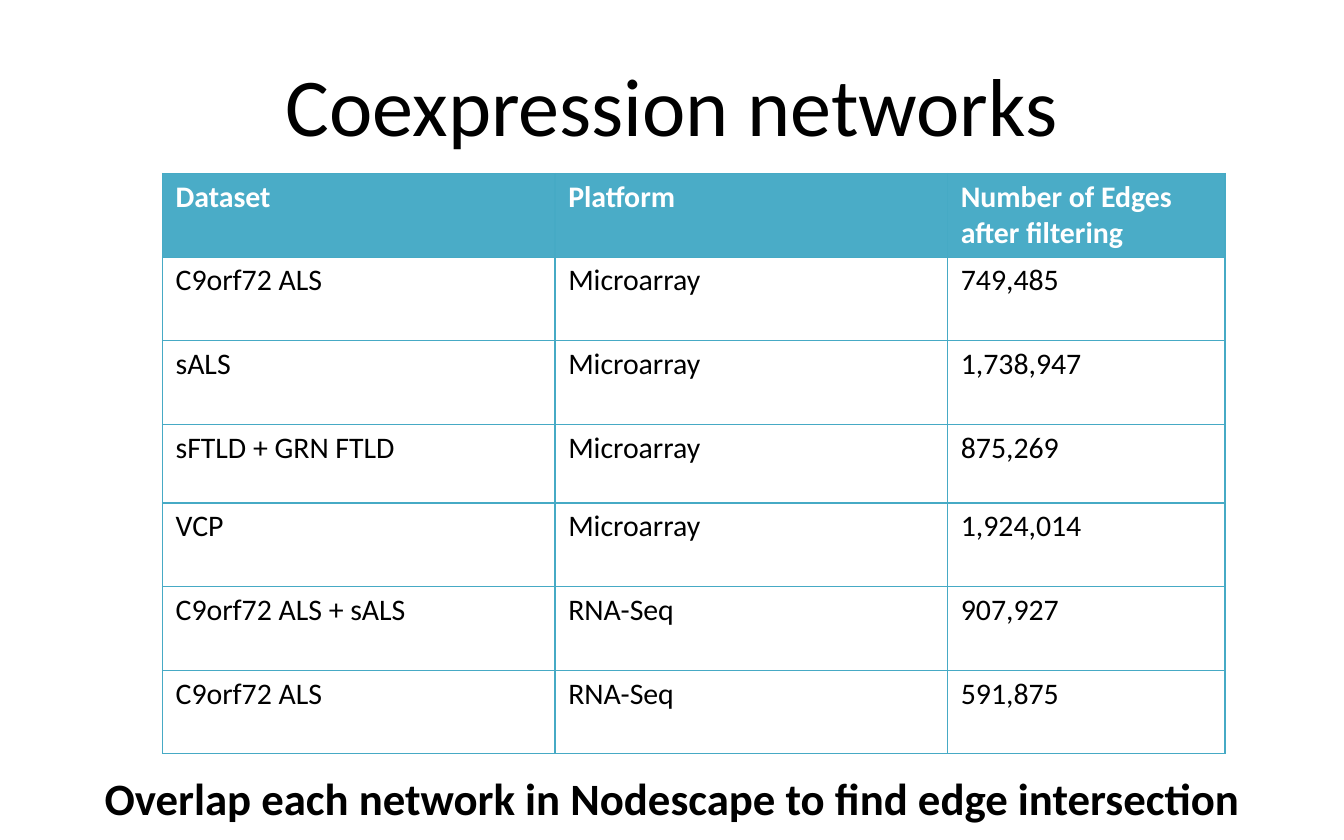
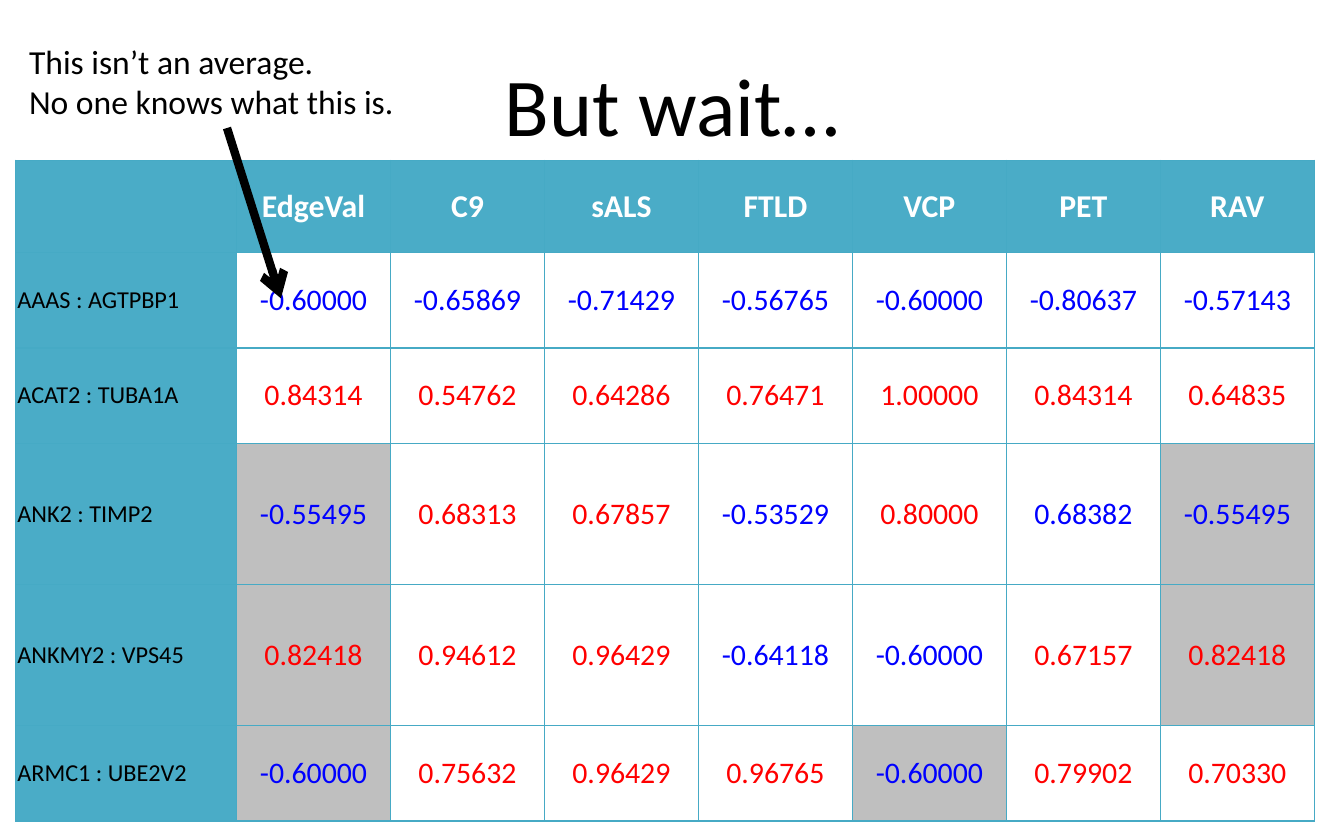
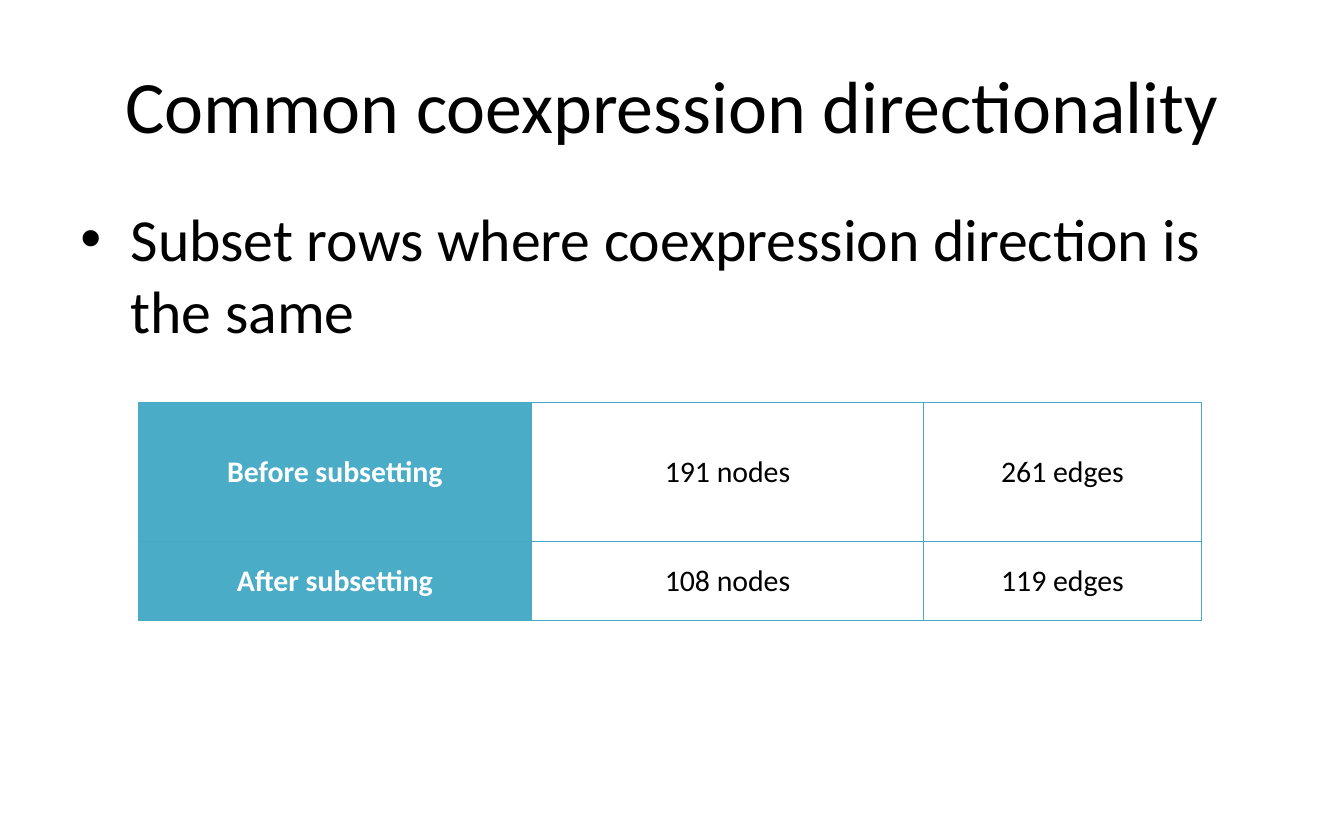
"""Build three slides on coexpression networks and their directionality."""
from dataclasses import dataclass

from lxml.etree import SubElement
from pptx import Presentation
from pptx.dml.color import RGBColor
from pptx.enum.shapes import MSO_CONNECTOR as Connector
from pptx.enum.text import MSO_ANCHOR as Anchor, MSO_AUTO_SIZE as AutoSize, PP_ALIGN as Align
from pptx.oxml.ns import qn
from pptx.oxml.xmlchemy import OxmlElement
from pptx.util import Cm, Pt


@dataclass(frozen=True)
class Theme:
    font: str = "Calibri"
    black: str = "000000"
    white: str = "FFFFFF"
    teal: str = "4AACC7"
    border: str = "46AAC5"
    grey: str = "BFBFBF"
    negative: str = "0000FF"
    positive: str = "FF0000"
    title: float = 44
    long_title: float = 39.6
    body: float = 32
    caption: float = 24
    note: float = 18
    column_head: float = 17
    cell: float = 16
    gene_pair: float = 13


theme = Theme()


def format_text(text_frame, size, color=theme.black, bold=False, align=Align.LEFT):
    for paragraph in text_frame.paragraphs:
        paragraph.alignment = align
        for run in paragraph.runs:
            run.font.name = theme.font
            run.font.size = Pt(size)
            run.font.bold = bold
            run.font.color.rgb = RGBColor.from_string(color)


def add_table(slide, rows, left, top, widths, heights, anchor, margins):
    frame = slide.shapes.add_table(len(rows), len(widths), Cm(left), Cm(top),
                                   Cm(sum(widths)), Cm(sum(heights)))
    table = frame.table
    table.first_row = table.horz_banding = False
    for column, width in zip(table.columns, widths):
        column.width = Cm(width)
    for row, height, texts in zip(table.rows, heights, rows):
        row.height = Cm(height)
        for cell, text in zip(row.cells, texts):
            cell.text_frame.text = text
            cell.vertical_anchor = anchor
            cell.margin_left = cell.margin_right = Cm(margins[0])
            cell.margin_top = cell.margin_bottom = Cm(margins[1])
            cell.fill.background()
            properties = cell._tc.get_or_add_tcPr()
            for index, edge in enumerate(("a:lnL", "a:lnR", "a:lnT", "a:lnB")):
                line = OxmlElement(edge)
                line.set("w", str(Pt(0.75)))
                fill = SubElement(line, qn("a:solidFill"))
                SubElement(fill, qn("a:srgbClr"), val=theme.border)
                properties.insert(index, line)
    return table


presentation = Presentation()
presentation.slide_width = Cm(25.4)
presentation.slide_height = Cm(15.88)
title_only = presentation.slide_layouts[5]

slides = []
for text, size in (
    ("Coexpression networks", theme.title),
    ("But wait…", theme.title),
    ("Common coexpression directionality", theme.long_title),
):
    slide = presentation.slides.add_slide(title_only)
    title = slide.shapes.title
    title.left, title.top, title.width, title.height = Cm(1.27), Cm(0.64), Cm(22.86), Cm(2.65)
    title.text_frame.text = text
    title.text_frame.auto_size = AutoSize.NONE
    title.text_frame.vertical_anchor = Anchor.MIDDLE
    format_text(title.text_frame, size, align=Align.CENTER)
    slides.append(slide)
networks_slide, values_slide, subset_slide = slides

network_rows = [
    ("Dataset", "Platform", "Number of Edges after filtering"),
    ("C9orf72 ALS", "Microarray", "749,485"),
    ("sALS", "Microarray", "1,738,947"),
    ("sFTLD + GRN FTLD", "Microarray", "875,269"),
    ("VCP", "Microarray", "1,924,014"),
    ("C9orf72 ALS + sALS", "RNA-Seq", "907,927"),
    ("C9orf72 ALS", "RNA-Seq", "591,875"),
]
wide_columns = [7.42, 7.42, 5.24]
wide_margins = (0.25, 0.1)
network_table = add_table(networks_slide, network_rows, 3.07, 3.28, wide_columns,
                          [1.58] * 3 + [1.49] + [1.58] * 3, Anchor.TOP, wide_margins)
for row_index, row in enumerate(network_table.rows):
    is_head = row_index == 0
    for cell in row.cells:
        format_text(cell.text_frame, theme.cell, theme.white if is_head else theme.black, is_head)
        if is_head:
            cell.fill.solid()
            cell.fill.fore_color.rgb = RGBColor.from_string(theme.teal)

value_rows = [
    ("", "EdgeVal", "C9", "sALS", "FTLD", "VCP", "PET", "RAV"),
    ("AAAS : AGTPBP1", "-0.60000", "-0.65869", "-0.71429", "-0.56765", "-0.60000", "-0.80637", "-0.57143"),
    ("ACAT2 : TUBA1A", "0.84314", "0.54762", "0.64286", "0.76471", "1.00000", "0.84314", "0.64835"),
    ("ANK2 : TIMP2", "-0.55495", "0.68313", "0.67857", "-0.53529", "0.80000", "0.68382", "-0.55495"),
    ("ANKMY2 : VPS45", "0.82418", "0.94612", "0.96429", "-0.64118", "-0.60000", "0.67157", "0.82418"),
    ("ARMC1 : UBE2V2", "-0.60000", "0.75632", "0.96429", "0.96765", "-0.60000", "0.79902", "0.70330"),
]
blue_exceptions = {"0.68382"}
value_table = add_table(values_slide, value_rows, 0.3, 3.03, [4.17] + [2.91] * 7,
                        [1.75, 1.8, 1.8, 2.67, 2.67, 1.8], Anchor.MIDDLE, (0.03, 0.02))
for row_index, (row, texts) in enumerate(zip(value_table.rows, value_rows)):
    mixed_signs = len({text.startswith("-") for text in texts[1:]}) == 2
    for column_index, (cell, text) in enumerate(zip(row.cells, texts)):
        fill_color = None
        if row_index == 0:
            fill_color = theme.teal
            format_text(cell.text_frame, theme.column_head, theme.white, True, Align.CENTER)
        elif column_index == 0:
            fill_color = theme.teal
            format_text(cell.text_frame, theme.gene_pair)
        else:
            is_blue = text.startswith("-") or text in blue_exceptions
            format_text(cell.text_frame, theme.cell,
                        theme.negative if is_blue else theme.positive, align=Align.CENTER)
            if mixed_signs and text == texts[1]:
                fill_color = theme.grey
        if fill_color:
            cell.fill.solid()
            cell.fill.fore_color.rgb = RGBColor.from_string(fill_color)

subset_rows = [
    ("Before subsetting", "191 nodes", "261 edges"),
    ("After subsetting", "108 nodes", "119 edges"),
]
subset_table = add_table(subset_slide, subset_rows, 2.62, 7.61, wide_columns,
                         [2.63, 1.49], Anchor.MIDDLE, wide_margins)
for row in subset_table.rows:
    for column_index, cell in enumerate(row.cells):
        is_head = column_index == 0
        format_text(cell.text_frame, theme.cell, theme.white if is_head else theme.black,
                    is_head, Align.CENTER)
        if is_head:
            cell.fill.solid()
            cell.fill.fore_color.rgb = RGBColor.from_string(theme.teal)

text_frames = []
for slide, text, box, size, bold, align in (
    (networks_slide, "Overlap each network in Nodescape to find edge intersection",
     (1.27, 14.45, 22.86, 1.28), theme.caption, True, Align.CENTER),
    (values_slide, "This isn’t an average.\nNo one knows what this is.",
     (0.3, 0.64, 8.15, 1.8), theme.note, False, Align.LEFT),
    (subset_slide, "Subset rows where coexpression direction is the same",
     (1.27, 3.7, 22.86, 10.48), theme.body, False, Align.LEFT),
):
    text_frame = slide.shapes.add_textbox(*(Cm(length) for length in box)).text_frame
    text_frame.word_wrap = True
    text_frame.text = text
    format_text(text_frame, size, bold=bold, align=align)
    text_frames.append(text_frame)

bullet_paragraph = text_frames[-1].paragraphs[0]
bullet_paragraph.space_before = Pt(6.4)
bullet_properties = bullet_paragraph._p.get_or_add_pPr()
bullet_properties.set("marL", str(Cm(0.95)))
bullet_properties.set("indent", str(-Cm(0.95)))
SubElement(bullet_properties, qn("a:buFont"), typeface="Arial")
SubElement(bullet_properties, qn("a:buChar"), char="•")

arrow = values_slide.shapes.add_connector(Connector.STRAIGHT, Cm(4.29), Cm(2.42), Cm(5.31), Cm(5.64))
arrow.line.color.rgb = RGBColor.from_string(theme.black)
arrow.line.width = Pt(4.5)
SubElement(arrow.line._get_or_add_ln(), qn("a:tailEnd"), type="arrow")
SubElement(arrow._element.spPr, qn("a:effectLst"))

presentation.save("out.pptx")
